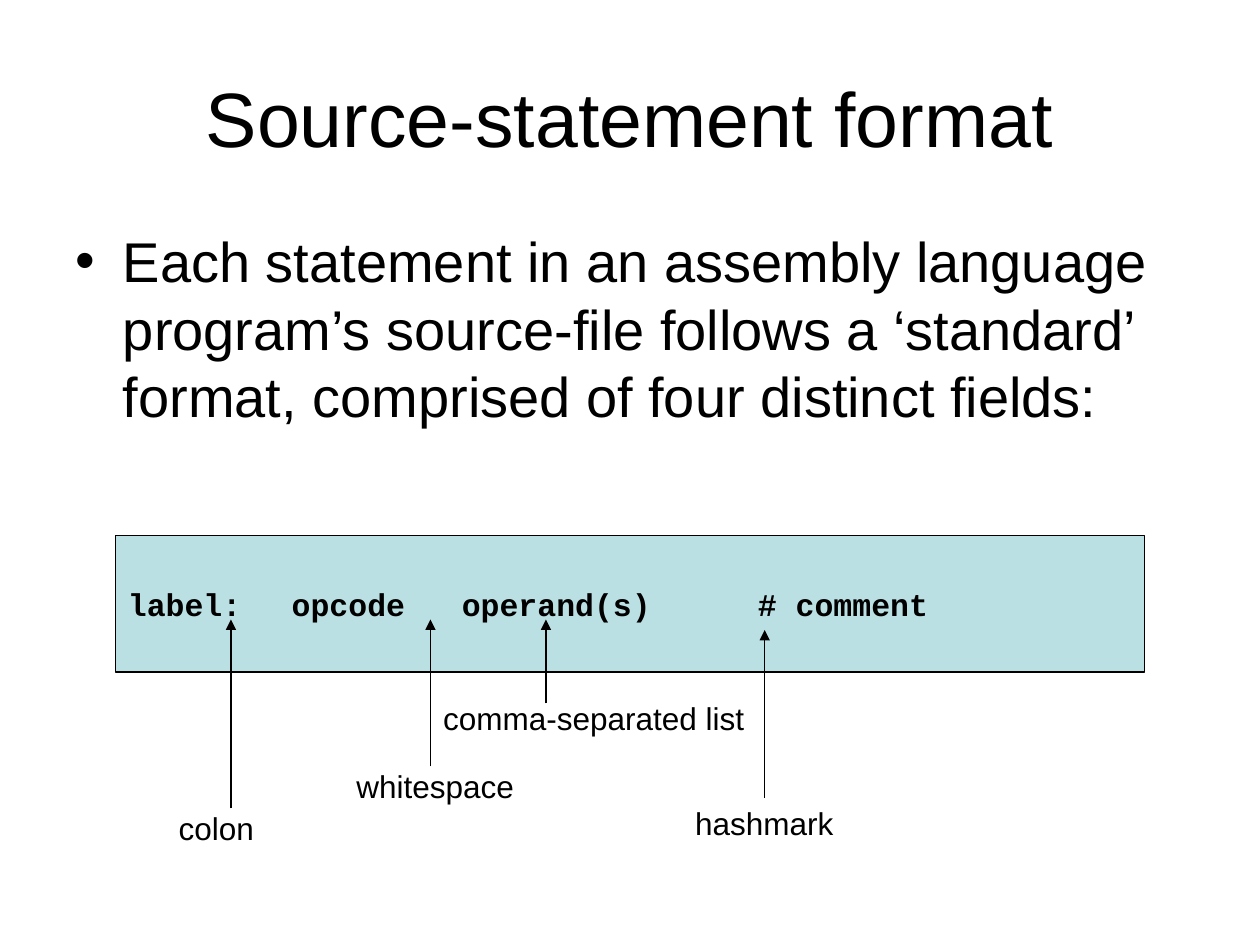
from dataclasses import dataclass

from lxml import etree
from pptx import Presentation
from pptx.dml.color import RGBColor
from pptx.enum import shapes, text
from pptx.oxml import ns
from pptx.util import Pt

BLACK, PALE_TEAL = "000000", "BBE0E3"
LABEL_HEIGHT = 28.8
FIELD_TAB_STOPS = (93.6, 190.8, 360)


@dataclass
class Callout:
    wording: str
    left: float
    top: float
    width: float
    arrow_x: float
    arrow_start: float
    arrow_tip: float
    joined: bool = False


CALLOUTS = [
    Callout("colon", 95, 458.6, 57.6, 132, 462, 354),
    Callout("whitespace", 196.6, 434.9, 104.4, 246, 438, 354),
    Callout("hashmark", 390.2, 456, 93.6, 437, 456, 360, joined=True),
    Callout("comma-separated list", 246.2, 396, 186.5, 312, 402, 354),
]


def color(value: str) -> RGBColor:
    return RGBColor.from_string(value)


def place(shape, left: float, top: float, width: float, height: float) -> None:
    box = {"left": left, "top": top, "width": width, "height": height}
    for name, value in box.items():
        setattr(shape, name, Pt(value))


def write(shape, wording: str, size: float, frame_format: dict,
          alignment=text.PP_ALIGN.LEFT, space_before: float = 0,
          font_name: str = "Arial", bold: bool = False):
    """Fill the shape with one formatted paragraph and return it."""
    frame = shape.text_frame
    for name, value in frame_format.items():
        setattr(frame, name, value)
    paragraph = frame.paragraphs[0]
    paragraph.text = wording
    paragraph.alignment = alignment
    paragraph.space_before = Pt(space_before)
    font = paragraph.runs[0].font
    for name, value in {"name": font_name, "size": Pt(size), "bold": bold}.items():
        setattr(font, name, value)
    font.color.rgb = color(BLACK)
    return paragraph


def set_tab_stops(paragraph, positions: tuple) -> None:
    properties = paragraph._p.get_or_add_pPr()
    tab_list = etree.SubElement(properties, ns.qn("a:tabLst"))
    for position in positions:
        etree.SubElement(tab_list, ns.qn("a:tab"), pos=str(Pt(position)), algn="l")


def add_statement_box(slide) -> None:
    box = slide.shapes.add_shape(shapes.MSO_SHAPE.RECTANGLE,
                                 Pt(66), Pt(306), Pt(588), Pt(78))
    box.shadow.inherit = False
    box.fill.solid()
    box.fill.fore_color.rgb = color(PALE_TEAL)
    box.line.color.rgb = color(BLACK)
    box.line.width = Pt(0.75)
    paragraph = write(box, "label:\topcode\toperand(s)\t# comment", 18,
                      {"word_wrap": True, "vertical_anchor": text.MSO_ANCHOR.MIDDLE},
                      font_name="Courier New", bold=True)
    set_tab_stops(paragraph, FIELD_TAB_STOPS)


def add_callout(slide, callout: Callout) -> None:
    label = slide.shapes.add_textbox(Pt(callout.left), Pt(callout.top),
                                     Pt(callout.width), Pt(LABEL_HEIGHT))
    write(label, callout.wording, 18,
          {"word_wrap": False, "auto_size": text.MSO_AUTO_SIZE.SHAPE_TO_FIT_TEXT})

    arrow = slide.shapes.add_connector(
        shapes.MSO_CONNECTOR.STRAIGHT, Pt(callout.arrow_x), Pt(callout.arrow_start),
        Pt(callout.arrow_x), Pt(callout.arrow_tip))
    if callout.joined:
        arrow.begin_connect(label, 0)
    arrow.line.color.rgb = color(BLACK)
    arrow.line.width = Pt(0.75)
    properties = arrow._element.spPr
    etree.SubElement(properties.find(ns.qn("a:ln")), ns.qn("a:tailEnd"), type="triangle")
    etree.SubElement(properties, ns.qn("a:effectLst"))


def main() -> None:
    presentation = Presentation()
    presentation.slide_width, presentation.slide_height = Pt(720), Pt(540)
    slide = presentation.slides.add_slide(presentation.slide_layouts[1])

    title, body = slide.shapes.title, slide.placeholders[1]
    place(title, 36, 21.6, 648, 90)
    write(title, "Source-statement format", 44,
          {"auto_size": text.MSO_AUTO_SIZE.NONE,
           "vertical_anchor": text.MSO_ANCHOR.MIDDLE},
          alignment=text.PP_ALIGN.CENTER)
    place(body, 36, 126, 648, 356.4)
    write(body, "Each statement in an assembly language program’s source-file follows "
                "a ‘standard’ format, comprised of four distinct fields:", 32,
          {"auto_size": text.MSO_AUTO_SIZE.NONE}, space_before=8)

    add_statement_box(slide)
    for callout in CALLOUTS:
        add_callout(slide, callout)
    presentation.save("out.pptx")


if __name__ == "__main__":
    main()
